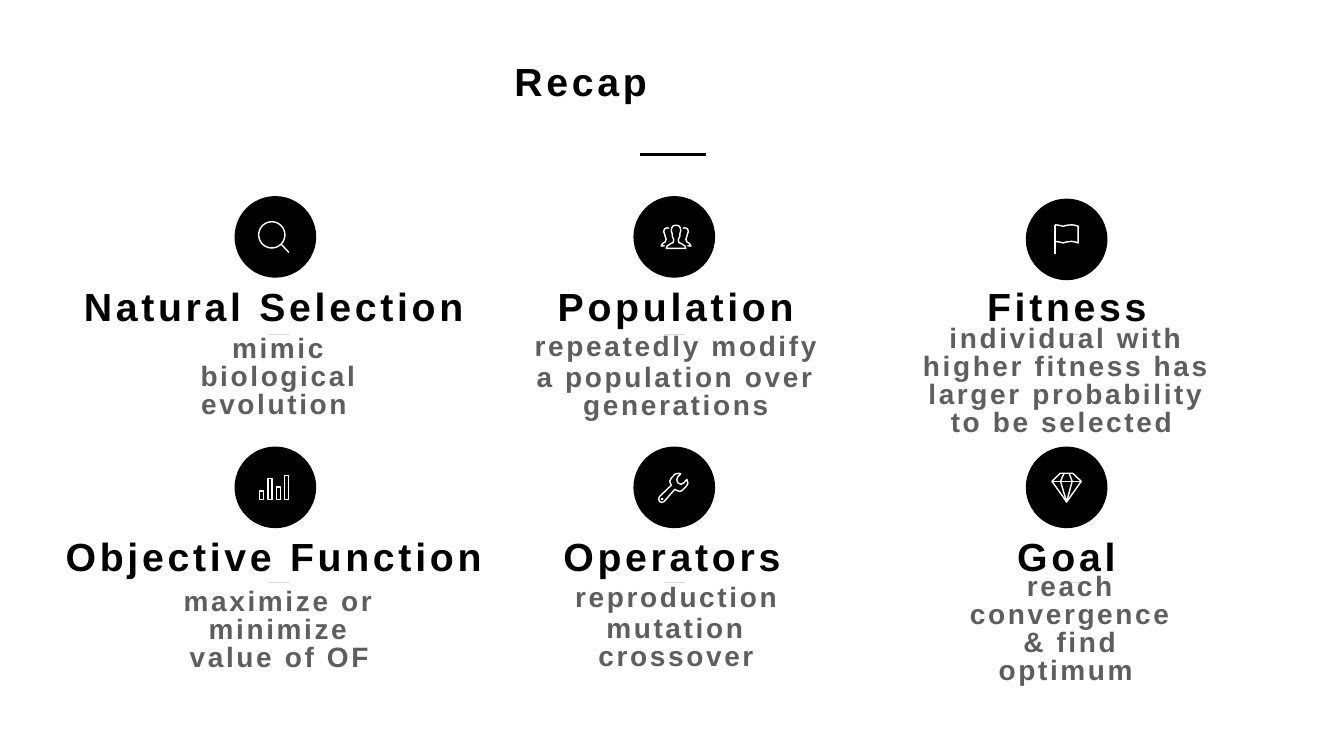
import math

import pptx
import pptx.dml.color
import pptx.enum.shapes
import pptx.enum.text
import pptx.oxml.ns
import pptx.util
from lxml import etree
from pptx.util import Inches, Pt

BLACK = pptx.dml.color.RGBColor(0x00, 0x00, 0x00)
WHITE = pptx.dml.color.RGBColor(0xFF, 0xFF, 0xFF)
GRAY = pptx.dml.color.RGBColor(0x5E, 0x5E, 0x5E)
PALE = pptx.dml.color.RGBColor(0xD9, 0xD9, 0xD9)
ALIGN = pptx.enum.text.PP_ALIGN
ANCHOR = pptx.enum.text.MSO_ANCHOR
AUTO_SIZE = pptx.enum.text.MSO_AUTO_SIZE

FONT = "Arial"
DISC = 1.62
DISC_LEFTS = (4.65, 12.56, 20.34)
DIVIDER_LEFTS = (5.32, 13.17, 21.02)
DIVIDER_TOPS = (6.64, 11.56)
HEADING_TOPS = (5.55, 10.5)

# Row by row: heading with its left and width, paragraphs with their box,
# top of the disc, icon and the icon's corner.
TOPICS = [
    ("Natural Selection", 1.56, 7.74, ["mimic biological evolution "],
     (3.15, 6.54, 4.77, 1.92), 3.89, "magnifier", (5.13, 4.38)),
    ("Population", 10.96, 4.88,
     ["repeatedly modify", "a population over generations"],
     (10.47, 6.5, 5.86, 2), 3.89, "people", (13.1, 4.45)),
    ("Fitness", 19.47, 3.37,
     ["individual with higher fitness has larger probability to be selected "],
     (17.97, 6.36, 6.36, 2.48), 3.94, "flag", (20.9, 4.44)),
    ("Objective Function", 1.2, 8.46, ["maximize or minimize value of OF"],
     (3.15, 11.56, 4.77, 1.92), 8.86, "bars", (5.13, 9.42)),
    ("Operators", 11.07, 4.51, ["reproduction", "mutation crossover"],
     (11.02, 11.48, 4.77, 2.64), 8.86, "wrench", (13.04, 9.37)),
    ("Goal", 20.07, 2.15, ["reach convergence & find optimum "],
     (18.85, 11.28, 4.77, 2.48), 8.86, "diamond", (20.84, 9.37)),
]


def closed(points):
    return points + points[:1]


def mirrored(points, width):
    return [(width - x, y) for x, y in points]


def circle(x, y, radius):
    angles = [math.radians(degrees) for degrees in range(0, 361, 10)]
    return [(x + radius * math.cos(a), y + radius * math.sin(a)) for a in angles]


def bar(index, top):
    left = 0.02 + index * 0.165
    return closed([(left, top), (left + 0.08, top), (left + 0.08, 0.49), (left, 0.49)])


PERSON_HALF = [(0.31, 0.02), (0.36, 0.03), (0.39, 0.07), (0.4, 0.13),
               (0.38, 0.19), (0.38, 0.24), (0.35, 0.3), (0.36, 0.36),
               (0.42, 0.39), (0.48, 0.43), (0.5, 0.48)]
NEIGHBOUR = [(0.44, 0.08), (0.48, 0.07), (0.53, 0.09), (0.55, 0.14),
             (0.53, 0.2), (0.52, 0.24), (0.5, 0.3), (0.52, 0.35),
             (0.57, 0.38), (0.6, 0.43), (0.53, 0.43)]
WRENCH = [(0.41, 0.02), (0.34, 0.04), (0.27, 0.12), (0.24, 0.18), (0.27, 0.26),
          (0.04, 0.48), (0.02, 0.53), (0.04, 0.58), (0.09, 0.6), (0.13, 0.58),
          (0.34, 0.34), (0.4, 0.37), (0.45, 0.38), (0.5, 0.35), (0.57, 0.28),
          (0.6, 0.22), (0.58, 0.14), (0.52, 0.21), (0.46, 0.24), (0.4, 0.21),
          (0.38, 0.15), (0.4, 0.09), (0.46, 0.03)]
FLAG_EDGE = [(0.02, 0.02), (0.1, 0.03), (0.18, 0.05), (0.25, 0.03),
             (0.35, 0.02), (0.42, 0.03), (0.48, 0.05)]
FLAG_HEM = [(x, y + 0.33) for x, y in reversed(FLAG_EDGE)]

ICONS = {
    "magnifier": [circle(0.26, 0.28, 0.26), [(0.45, 0.47), (0.6, 0.63)]],
    "people": [closed(PERSON_HALF + mirrored(PERSON_HALF, 0.61)[::-1]),
               NEIGHBOUR, mirrored(NEIGHBOUR, 0.61)],
    "flag": [[(0.02, 0.02), (0.02, 0.6)], FLAG_EDGE + FLAG_HEM],
    "bars": [bar(index, top) for index, top in enumerate((0.32, 0.08, 0.24, 0.02))],
    "wrench": [closed(WRENCH), circle(0.09, 0.53, 0.01)],
    "diamond": [closed([(0.18, 0.02), (0.43, 0.02), (0.6, 0.18), (0.31, 0.59), (0.02, 0.18)]),
                [(0.02, 0.18), (0.6, 0.18)],
                [(0.26, 0.02), (0.19, 0.18), (0.31, 0.59), (0.42, 0.18), (0.36, 0.02)]],
}


def add_rule(slide, left, top, length, color, width):
    rule = slide.shapes.add_connector(
        pptx.enum.shapes.MSO_CONNECTOR.STRAIGHT,
        Inches(left), Inches(top), Inches(left + length), Inches(top))
    rule.line.color.rgb = color
    rule.line.width = Pt(width)
    etree.SubElement(rule._element.spPr, pptx.oxml.ns.qn("a:effectLst"))


def add_disc(slide, left, top):
    disc = slide.shapes.add_shape(
        pptx.enum.shapes.MSO_SHAPE.OVAL,
        Inches(left), Inches(top), Inches(DISC), Inches(DISC))
    disc.shadow.inherit = False
    disc.fill.solid()
    disc.fill.fore_color.rgb = BLACK
    disc.line.fill.background()


def add_icon(slide, strokes, corner):
    left, top = corner
    placed = [[(Inches(left + x), Inches(top + y)) for x, y in stroke]
              for stroke in strokes]
    builder = slide.shapes.build_freeform(*placed[0][0])
    for stroke in placed:
        builder.move_to(*stroke[0])
        builder.add_line_segments(stroke[1:], close=False)
    icon = builder.convert_to_shape()
    icon.shadow.inherit = False
    icon.fill.background()
    icon.line.color.rgb = WHITE
    icon.line.width = Pt(2)


def fill_text(box, paragraphs, size, color, spacing, inset, wrap):
    """Write bold, letter-spaced, centred paragraphs and return them."""
    frame = box.text_frame
    frame.text = "\n".join(paragraphs)
    frame.word_wrap = wrap
    frame.margin_left = frame.margin_right = Inches(inset)
    frame.margin_top = frame.margin_bottom = Inches(inset)
    for para in frame.paragraphs:
        para.alignment = ALIGN.CENTER
        for span in para.runs:
            span.font.name = FONT
            span.font.size = Pt(size)
            span.font.bold = True
            span.font.color.rgb = color
            span._r.get_or_add_rPr().set("spc", str(round(spacing * 100)))
    return frame.paragraphs


def add_box(slide, left, top, width, height):
    box = slide.shapes.add_textbox(
        Inches(left), Inches(top), Inches(width), Inches(height))
    box.text_frame.auto_size = AUTO_SIZE.SHAPE_TO_FIT_TEXT
    return box


def main():
    deck = pptx.Presentation()
    deck.slide_width, deck.slide_height = Inches(26.65), Inches(15)
    slide = deck.slides.add_slide(deck.slide_layouts[5])

    title = slide.shapes.title
    title.left, title.top = Inches(10.15), Inches(1.08)
    title.width, title.height = Inches(6.36), Inches(1.5)
    title_para = fill_text(title, ["Recap"], 56, BLACK, 5.3, 0.05, True)[0]
    title_para.alignment = ALIGN.LEFT
    title.text_frame.vertical_anchor = ANCHOR.TOP
    title.text_frame.auto_size = AUTO_SIZE.NONE
    add_rule(slide, 12.7, 3.06, 1.3, BLACK, 4.5)

    for index, topic in enumerate(TOPICS):
        heading, left, width, body, body_box, disc_top, icon, corner = topic
        row, column = divmod(index, 3)
        add_rule(slide, DIVIDER_LEFTS[column], DIVIDER_TOPS[row], 0.42, PALE, 0.5)
        add_disc(slide, DISC_LEFTS[column], disc_top)
        add_icon(slide, ICONS[icon], corner)

        box = add_box(slide, left, HEADING_TOPS[row], width, 1.04)
        fill_text(box, [heading], 56, BLACK, 5.3, 0.06, False)
        box.text_frame.vertical_anchor = ANCHOR.MIDDLE

        box = add_box(slide, *body_box)
        for para in fill_text(box, body, 40, GRAY, 3.8, 0.12, True):
            para.line_spacing = Pt(40)
            para.space_before = Pt(5)

    deck.save("out.pptx")


if __name__ == "__main__":
    main()
